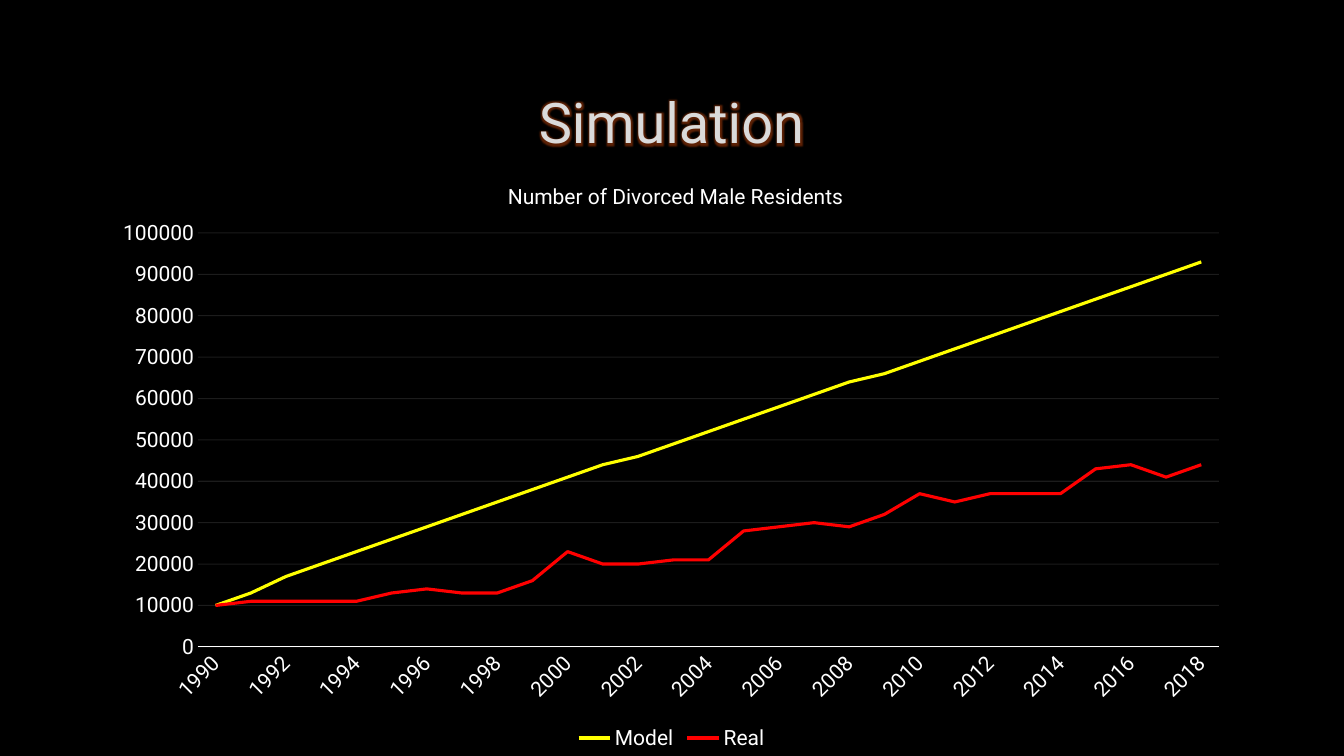
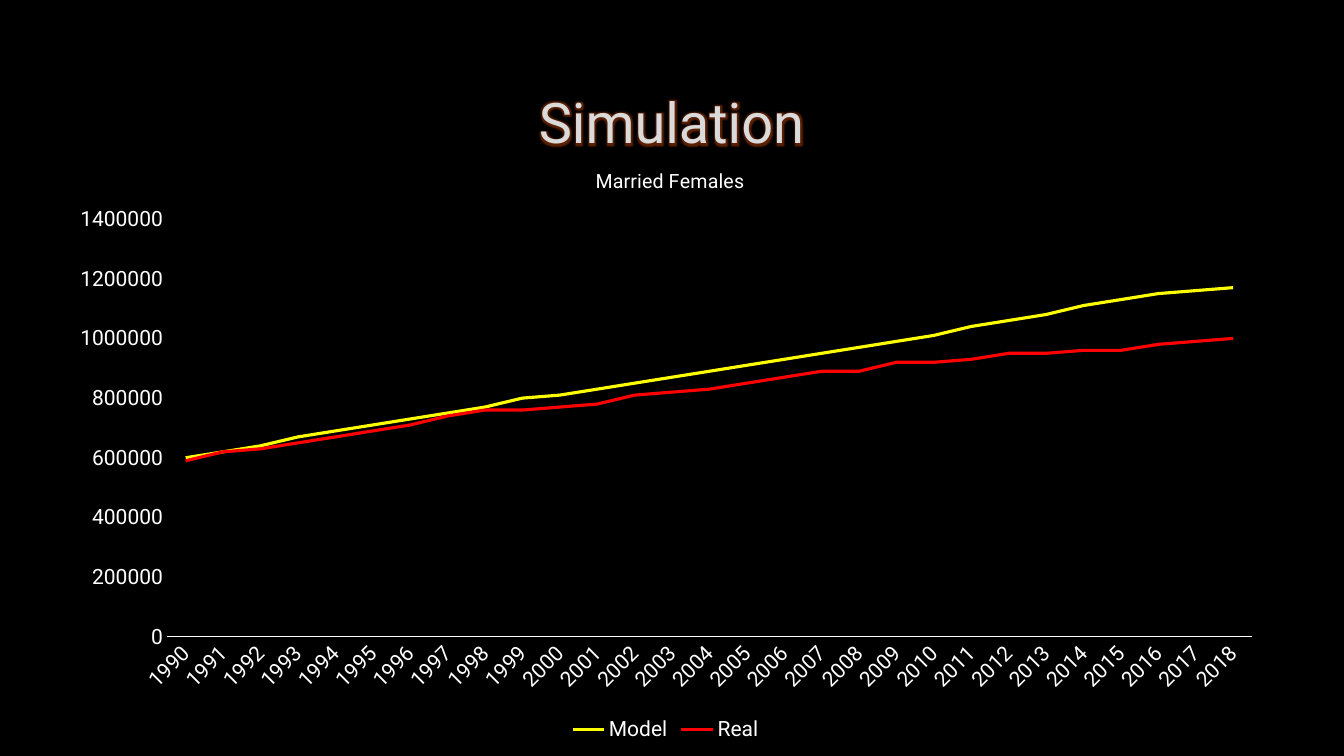
from lxml import etree
from pptx import Presentation
from pptx.chart.data import CategoryChartData
from pptx.dml.color import RGBColor
from pptx.enum.chart import XL_CHART_TYPE, XL_LEGEND_POSITION, XL_MARKER_STYLE, XL_TICK_MARK
from pptx.enum.text import MSO_ANCHOR, PP_ALIGN
from pptx.oxml import parse_xml
from pptx.oxml.ns import nsdecls, qn
from pptx.util import Emu, Pt

LINE = XL_CHART_TYPE.LINE
BOTTOM = XL_LEGEND_POSITION.BOTTOM
PLAIN = XL_MARKER_STYLE.NONE
NO_TICK = XL_TICK_MARK.NONE
MIDDLE = MSO_ANCHOR.MIDDLE
CENTER = PP_ALIGN.CENTER

FACE = "Roboto"
BLACK, WHITE, PALE = "000000", "FFFFFF", "DADADA"
EDGE, GLOW = "404040", "D04A0C"
HEAD_BOX = (101, 68, 1141, 107)
YEARS = [str(year) for year in range(1990, 2019)]
COLORS = {"Model": "FFFF00", "Real": "FF0000"}

SLIDES = [
    {
        "head": "Simulation",
        "title": "Number of Divorced Male Residents",
        "size": 15,
        "box": (101, 153, 1141, 602),
        "label": (504, 178),
        "plot": (198, 233, 1021, 414),
        "top": 100,
        "step": 10,
        "grid": True,
        "Model": [10, 13, 17, 20, 23, 26, 29, 32, 35, 38, 41, 44, 46, 49, 52,
                  55, 58, 61, 64, 66, 69, 72, 75, 78, 81, 84, 87, 90, 93],
        "Real": [10, 11, 11, 11, 11, 13, 14, 13, 13, 16, 23, 20, 20, 21, 21,
                 28, 29, 30, 29, 32, 37, 35, 37, 37, 37, 43, 44, 41, 44],
    },
    {
        "head": "Simulation",
        "title": "Married Females",
        "size": 14,
        "box": (55, 140, 1221, 606),
        "label": (592, 164),
        "plot": (167, 219, 1085, 418),
        "top": 1400,
        "step": 200,
        "grid": False,
        "Model": [600, 620, 640, 670, 690, 710, 730, 750, 770, 800, 810, 830, 850, 870, 890,
                  910, 930, 950, 970, 990, 1010, 1040, 1060, 1080, 1110, 1130, 1150, 1160, 1170],
        "Real": [590, 620, 630, 650, 670, 690, 710, 740, 760, 760, 770, 780, 810, 820, 830,
                 850, 870, 890, 890, 920, 920, 930, 950, 950, 960, 960, 980, 990, 1000],
    },
]


def px(num):
    return Emu(round(num * 914400 / 100.8))


def paint(code):
    return RGBColor.from_string(code)


def style(font, size, color=WHITE):
    font.name, font.size, font.bold = FACE, Pt(size), False
    font.color.rgb = paint(color)


def stroke(line, color, width):
    line.color.rgb = paint(color)
    line.width = Pt(width)


def fade(node, share):
    for color in node.iter(qn("a:srgbClr")):
        etree.SubElement(color, qn("a:alpha"), val=str(share * 1000))


def write(frame, text, size, color=WHITE, align=CENTER):
    para = frame.paragraphs[0]
    para.alignment = align
    run = para.add_run()
    run.text = text
    style(run.font, size, color)


def add_head(slide, text):
    head = slide.shapes.add_textbox(*map(px, HEAD_BOX))
    frame = head.text_frame
    frame.word_wrap = True
    frame.vertical_anchor = MIDDLE
    write(frame, text, 40, PALE)
    edge = parse_xml(
        f'<a:ln {nsdecls("a")} w="9525"><a:solidFill><a:srgbClr val="{EDGE}"/></a:solidFill></a:ln>')
    fade(edge, 10)
    glow = parse_xml(
        f'<a:effectLst {nsdecls("a")}><a:glow rad="63500"><a:srgbClr val="{GLOW}"/></a:glow></a:effectLst>')
    fade(glow, 45)
    props = next(head.element.iter(qn("a:rPr")))
    props.insert(0, edge)
    props.insert(2, glow)


def place(node, spot, box, area, inner=False):
    for old in node.findall(qn("c:layout")):
        node.remove(old)
    left, top, wide, high = box
    parts = {"x": (area[0] - left) / wide, "y": (area[1] - top) / high}
    if inner:
        parts.update(w=area[2] / wide, h=area[3] / high)
    target = '<c:layoutTarget val="inner"/>' if inner else ""
    modes = '<c:xMode val="edge"/><c:yMode val="edge"/>'
    sizes = "".join(f'<c:{key} val="{val:.4f}"/>' for key, val in parts.items())
    node.insert(spot, parse_xml(
        f'<c:layout {nsdecls("c")}><c:manualLayout>{target}{modes}{sizes}</c:manualLayout></c:layout>'))


def set_axes(chart, item):
    cat, val = chart.category_axis, chart.value_axis
    for axis in (cat, val):
        axis.major_tick_mark = axis.minor_tick_mark = NO_TICK
        style(axis.tick_labels.font, 15)
    stroke(cat.format.line, WHITE, 0.75)
    cat.has_major_gridlines = False
    labels = next(chart.element.iter(qn("c:catAx"))).find(qn("c:txPr"))
    labels.find(qn("a:bodyPr")).set("rot", "-2700000")
    val.format.line.fill.background()
    val.minimum_scale = 0
    val.maximum_scale = item["top"] * 1000
    val.major_unit = item["step"] * 1000
    val.has_major_gridlines = item["grid"]
    if item["grid"]:
        stroke(val.major_gridlines.format.line, WHITE, 0.75)
        fade(next(chart.element.iter(qn("c:majorGridlines"))), 11)


def add_plot(slide, item):
    data = CategoryChartData(number_format="0")
    data.categories = YEARS
    for name in COLORS:
        data.add_series(name, [num * 1000 for num in item[name]])
    box = item["box"]
    chart = slide.shapes.add_chart(LINE, *map(px, box), data).chart
    style(chart.font, 10)
    chart.has_title = True
    write(chart.chart_title.text_frame, item["title"], item["size"])
    chart.has_legend = True
    chart.legend.position = BOTTOM
    chart.legend.include_in_layout = False
    style(chart.legend.font, 15)
    chart.plots[0].vary_by_categories = False
    for row in chart.plots[0].series:
        row.smooth = False
        row.marker.style = PLAIN
        stroke(row.format.line, COLORS[row.name], 2.25)
    set_axes(chart, item)
    place(next(chart.element.iter(qn("c:title"))), 1, box, item["label"])
    place(next(chart.element.iter(qn("c:plotArea"))), 0, box, item["plot"], inner=True)


def main():
    deck = Presentation()
    deck.slide_width, deck.slide_height = px(1344), px(756)
    for item in SLIDES:
        slide = deck.slides.add_slide(deck.slide_layouts[6])
        slide.background.fill.solid()
        slide.background.fill.fore_color.rgb = paint(BLACK)
        add_head(slide, item["head"])
        add_plot(slide, item)
    deck.save("out.pptx")


if __name__ == "__main__":
    main()
